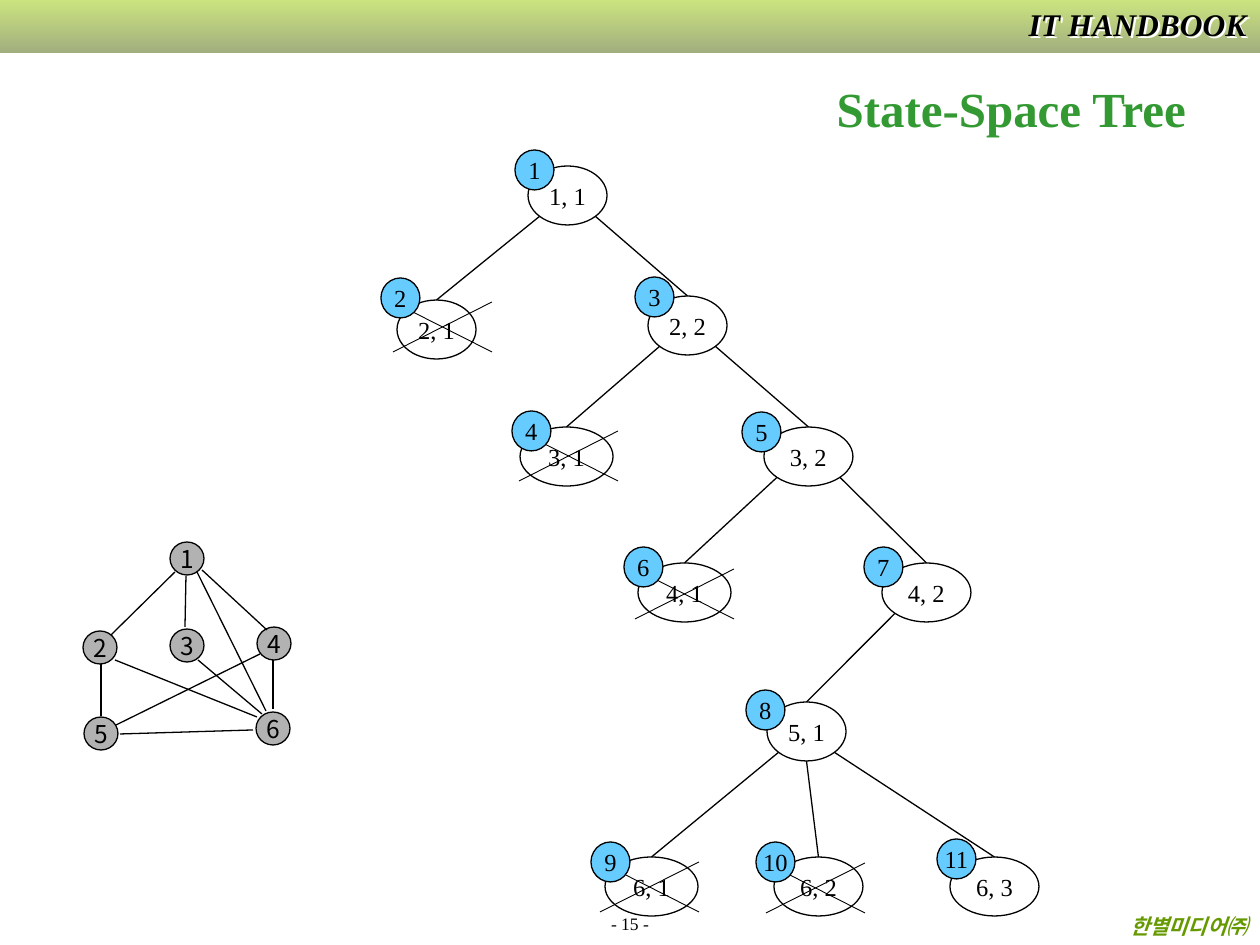
import math

import pptx
import pptx.dml.color
import pptx.enum.shapes
import pptx.enum.text
import pptx.oxml
import pptx.oxml.ns
import pptx.util

ALIGN = pptx.enum.text.PP_ALIGN
ANCHOR = pptx.enum.text.MSO_ANCHOR
SHAPE = pptx.enum.shapes.MSO_SHAPE
SERIF, SANS = "Times New Roman", "Noto Sans CJK KR"
COLORS = {
    "black": "000000", "white": "FFFFFF", "title": "339933", "publisher": "669900",
    "badge": "66CCFF", "vertex": "B2B2B2", "band_top": "99CC00", "band_end": "465E00",
}

# label: (left, top, width)
NODES = {
    "1, 1": (528, 166, 79),
    "2, 1": (397, 300, 79), "2, 2": (648, 296, 79),
    "3, 1": (520, 427, 93), "3, 2": (764, 427, 89),
    "4, 1": (638, 563, 93), "4, 2": (882, 563, 89),
    "5, 1": (767, 702, 79),
    "6, 1": (605, 857, 93), "6, 2": (774, 857, 89), "6, 3": (950, 857, 89),
}
CHILDREN = {
    "1, 1": ("2, 1", "2, 2"), "2, 2": ("3, 1", "3, 2"), "3, 2": ("4, 1", "4, 2"),
    "4, 2": ("5, 1",), "5, 1": ("6, 1", "6, 2", "6, 3"),
}
# Left and top of the badges, in visiting order from 1
BADGES = [(515, 150), (381, 278), (635, 277), (512, 411), (742, 412), (624, 547),
          (864, 547), (746, 690), (591, 842), (756, 842), (937, 839)]
# Left and top of the crosses on pruned nodes
CROSSES = [(393, 302), (519, 431), (635, 569), (600, 862), (766, 863)]
# Left and top of the graph vertices, from 1
VERTICES = [(170, 542), (83, 631), (170, 629), (257, 627), (84, 717), (256, 712)]
GRAPH_EDGES = [
    (186, 576, 185, 627), (116, 725, 260, 654), (101, 664, 101, 716),
    (198, 660, 262, 714), (273, 660, 273, 709), (120, 734, 253, 730),
    (111, 635, 175, 572), (202, 570, 267, 630), (266, 711, 197, 572),
    (115, 660, 257, 717),
]
NODE_H, BADGE_SIZE, VERTEX_SIZE, CROSS_SIZE = 59, (39, 40), (34, 33), (99, 50)

# text, box, alignment, anchor, font
CAPTIONS = [
    ("- 15 -", (0, 912, 1260, 28), ALIGN.CENTER, ANCHOR.BOTTOM, {"size": 10}),
    ("한별미디어㈜", (8, 907, 1252, 38), ALIGN.RIGHT, ANCHOR.TOP,
     {"size": 12, "color": "publisher", "bold": True, "italic": True}),
    ("IT HANDBOOK", (993, -1, 266, 50), ALIGN.RIGHT, ANCHOR.TOP,
     {"size": 18, "bold": True, "italic": True}),
]


def px(n):
    return round(n * 914400 / 126)


def rgb(name):
    return pptx.dml.color.RGBColor.from_string(COLORS[name])


def write(sp, text, align=ALIGN.CENTER, anchor=ANCHOR.MIDDLE, wrap=True,
          color="black", size=14, **font):
    tf = sp.text_frame
    tf.word_wrap, tf.vertical_anchor = wrap, anchor
    p = tf.paragraphs[0]
    p.alignment = align
    r = p.add_run()
    r.text = text
    r.font.color.rgb = rgb(color)
    values = {"name": SERIF, "size": pptx.util.Pt(size), **font}
    for key, value in values.items():
        setattr(r.font, key, value)


def add_ellipse(s, text, box, fill=None, font=SERIF):
    sp = s.shapes.add_shape(SHAPE.OVAL, *map(px, box))
    sp.shadow.inherit = False
    if fill:
        sp.fill.solid()
        sp.fill.fore_color.rgb = rgb(fill)
    else:
        sp.fill.background()
    sp.line.color.rgb = rgb("black")
    sp.line.width = pptx.util.Pt(0.75)
    write(sp, text, wrap=False, name=font)


def add_line(s, ends, width=0.75):
    line = s.shapes.add_connector(pptx.enum.shapes.MSO_CONNECTOR.STRAIGHT, *map(px, ends))
    line.line.color.rgb = rgb("black")
    line.line.width = pptx.util.Pt(width)
    pptx.oxml.ns.qn("a:effectLst")
    line.element.spPr.append(pptx.oxml.parse_xml(
        f'<a:effectLst {pptx.oxml.ns.nsdecls("a")}/>'))


def tree_edge(parent, child):
    """Run from the parent's lower rim, on the child's side, to the child's top."""
    left, top, width = NODES[parent]
    child_left, child_top, child_width = NODES[child]
    x, end_x = left + width / 2, child_left + child_width / 2
    dx = end_x - x
    angle = math.radians(90 if abs(dx) < width / 2 else 45)
    start_x = x + math.copysign(width / 2 * math.cos(angle), dx)
    start_y = top + NODE_H / 2 * (1 + math.sin(angle))
    return start_x, start_y, end_x, child_top


def add_band(s):
    band = s.shapes.add_shape(SHAPE.RECTANGLE, 0, 0, px(1260), px(53))
    band.shadow.inherit = False
    band.line.fill.background()
    band.fill.gradient()
    band.fill.gradient_angle = 270
    for stop, color in zip(band.fill.gradient_stops, ("band_top", "band_end")):
        stop.color.rgb = rgb(color)
    for clr in band.element.spPr.iter(pptx.oxml.ns.qn("a:srgbClr")):
        clr.append(pptx.oxml.parse_xml(
            f'<a:alpha {pptx.oxml.ns.nsdecls("a")} val="50000"/>'))


def add_captions(s):
    for text, box, align, anchor, font in CAPTIONS:
        sp = s.shapes.add_textbox(*map(px, box))
        write(sp, text, align, anchor, **font)
    # The series name, last in the list, casts a white shadow
    sp.element.spPr.append(pptx.oxml.parse_xml(
        f'<a:effectLst {pptx.oxml.ns.nsdecls("a")}>'
        f'<a:outerShdw dist="{px(3)}" dir="2700000" algn="ctr" rotWithShape="0">'
        f'<a:srgbClr val="{COLORS["white"]}"/></a:outerShdw></a:effectLst>'))


def add_title(s):
    title = s.shapes.title
    box = {"left": 750, "top": 53, "width": 510, "height": 110}
    for key, value in box.items():
        setattr(title, key, px(value))
    title.text_frame.auto_size = pptx.enum.text.MSO_AUTO_SIZE.NONE
    title.text_frame.margin_left = px(25)
    write(title, "State-Space Tree", color="title", size=28, bold=True)


def add_tree(s):
    for label, (left, top, width) in NODES.items():
        add_ellipse(s, label, (left, top, width, NODE_H))
    for parent, children in CHILDREN.items():
        for child in children:
            add_line(s, tree_edge(parent, child))
    width, height = CROSS_SIZE
    for left, top in CROSSES:
        add_line(s, (left, top, left + width, top + height), 0.5)
        add_line(s, (left, top + height, left + width, top), 0.5)
    for number, corner in enumerate(BADGES, 1):
        add_ellipse(s, str(number), corner + BADGE_SIZE, "badge")


def add_graph(s):
    for number, corner in enumerate(VERTICES, 1):
        add_ellipse(s, str(number), corner + VERTEX_SIZE, "vertex", SANS)
    for ends in GRAPH_EDGES:
        add_line(s, ends)


def main():
    prs = pptx.Presentation()
    prs.slide_width, prs.slide_height = px(1260), px(945)
    s = prs.slides.add_slide(prs.slide_layouts.get_by_name("Title Only"))
    add_band(s)
    add_captions(s)
    add_title(s)
    add_tree(s)
    add_graph(s)
    prs.save("out.pptx")


if __name__ == "__main__":
    main()
